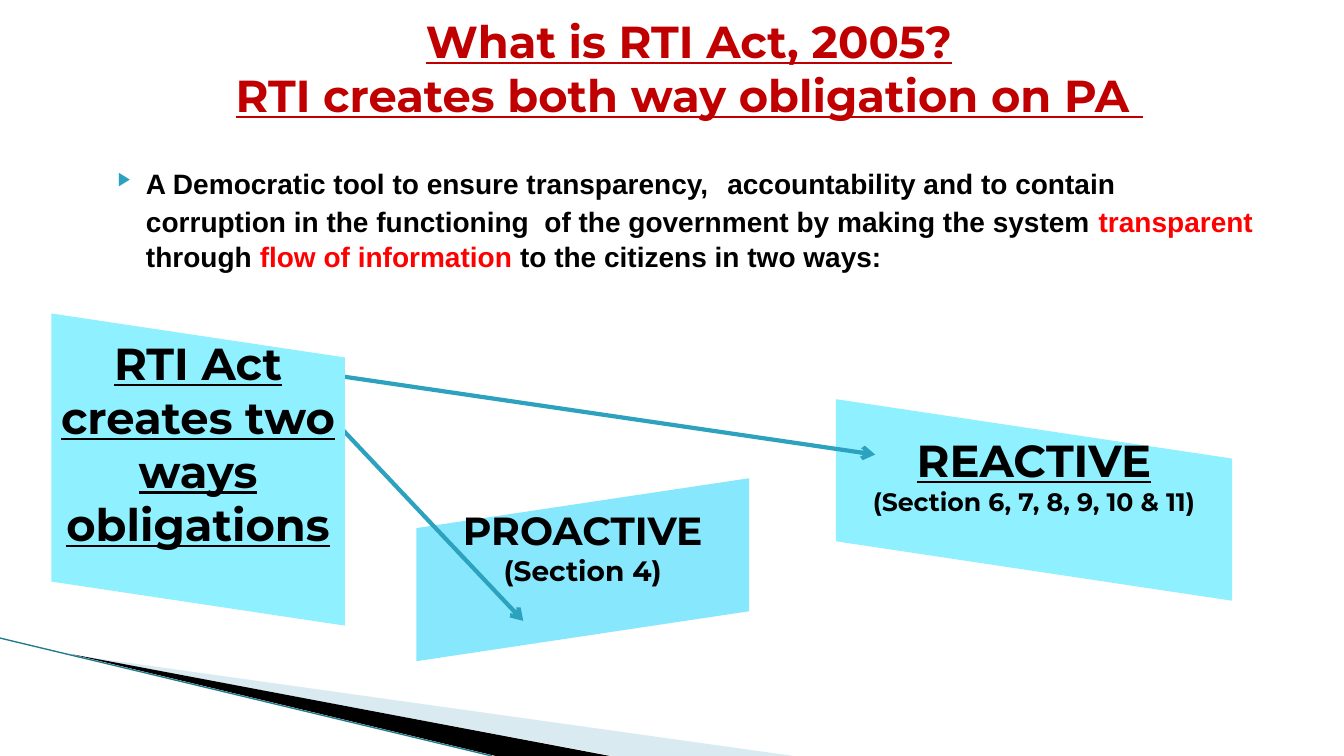
from dataclasses import dataclass

from lxml.etree import SubElement
from pptx import Presentation
from pptx.dml.color import RGBColor
from pptx.enum.shapes import MSO_CONNECTOR
from pptx.enum.text import MSO_ANCHOR, PP_ALIGN
from pptx.oxml.ns import qn
from pptx.util import Inches, Pt


@dataclass(frozen=True)
class Theme:
    head: str = "Montserrat"
    body: str = "Arial"
    black: str = "000000"
    title: str = "C00000"
    red: str = "FF0000"
    teal: str = "2DA2BF"
    cyan: str = "8FF0FF"
    sky: str = "87E7FD"
    mist: str = "A0CBDC"
    edge: str = "1F7A8C"
    big: int = 32
    mid: int = 28
    text: int = 20
    small: int = 18
    gap: int = 27


THEME = Theme()
SLOPE = 0.15


def rgb(code):
    return RGBColor.from_string(code)


def style(size, name=THEME.head, color=THEME.black, **extra):
    return {"size": Pt(size), "name": name, "color": color, "bold": True, **extra}


def write(para, runs):
    """Add (text, format) runs; a newline becomes a line break."""
    for text, form in runs:
        for count, line in enumerate(text.split("\n")):
            if count:
                para.add_line_break()
            run = para.add_run()
            run.text = line
            for key, value in form.items():
                if key == "color":
                    run.font.color.rgb = rgb(value)
                else:
                    setattr(run.font, key, value)


def label(slide, box, anchor):
    frame = slide.shapes.add_textbox(*map(Inches, box)).text_frame
    frame.word_wrap = True
    frame.vertical_anchor = anchor
    return frame.paragraphs[0]


def outline(slide, points, color, alpha=None):
    """Draw a closed, filled outline through points in inches."""
    first, *rest = [(Inches(x), Inches(y)) for x, y in points]
    pen = slide.shapes.build_freeform(*first)
    pen.add_line_segments(rest, close=True)
    shape = pen.convert_to_shape()
    shape.shadow.inherit = False
    shape.fill.solid()
    shape.fill.fore_color.rgb = rgb(color)
    shape.line.fill.background()
    if alpha:
        tint = shape.fill._xPr.find(".//" + qn("a:srgbClr"))
        SubElement(tint, qn("a:alpha"), val=str(alpha * 1000))
    return shape


def panel(slide, box, lean, inset, color, lines):
    """Draw a slanted panel; lean is 1 for falling and -1 for rising edges."""
    left, top, width, side = box
    right, drop = left + width, lean * SLOPE * width
    points = [(left, top), (right, top + drop),
              (right, top + drop + side), (left, top + side)]
    frame = outline(slide, points, color).text_frame
    form = {"word_wrap": True, "vertical_anchor": MSO_ANCHOR.TOP,
            "margin_top": Inches(inset), "margin_left": Inches(0.05),
            "margin_right": Inches(0.05)}
    for key, value in form.items():
        setattr(frame, key, value)
    for count, line in enumerate(lines):
        para = frame.add_paragraph() if count else frame.paragraphs[0]
        para.alignment = PP_ALIGN.CENTER
        write(para, [line])


def stroke(slide, start, end, color, width, arrow=False):
    line = slide.shapes.add_connector(
        MSO_CONNECTOR.STRAIGHT, *map(Inches, (*start, *end)))
    line.line.color.rgb = rgb(color)
    line.line.width = Pt(width)
    if arrow:
        SubElement(line.line._get_or_add_ln(), qn("a:tailEnd"), type="arrow")
    SubElement(line._element.spPr, qn("a:effectLst"))


def bullet(para):
    props = para._p.get_or_add_pPr()
    props.set("marL", str(Inches(0.4)))
    props.set("indent", str(Inches(-0.28)))
    tint = SubElement(props, qn("a:buClr"))
    SubElement(tint, qn("a:srgbClr"), val=THEME.teal)
    SubElement(props, qn("a:buSzPct"), val="68000")
    SubElement(props, qn("a:buFont"), typeface=THEME.body)
    SubElement(props, qn("a:buChar"), char="▶")


def swoosh(slide):
    outline(slide, [(0.73, 6.5), (7.87, 7.5), (6.08, 7.5)], THEME.mist, 40)
    outline(slide, [(0.71, 6.49), (6.05, 7.5), (4.92, 7.5)], THEME.black)
    stroke(slide, (0, 6.33), (4.88, 7.5), THEME.edge, 0.95)


def intro(slide):
    title = label(slide, (0.89, 0.13, 11.89, 1.08), MSO_ANCHOR.MIDDLE)
    title.alignment = PP_ALIGN.CENTER
    write(title, [("What is RTI Act, 2005?\nRTI creates both way obligation on PA ",
                   style(THEME.big, color=THEME.title, underline=True))])

    plain = style(THEME.text, THEME.body)
    red = style(THEME.text, THEME.body, THEME.red)
    para = label(slide, (0.95, 1.47, 11.6, 1.4), MSO_ANCHOR.TOP)
    para.line_spacing = 1.07
    para.space_before = Pt(4)
    bullet(para)
    write(para, [
        ("A Democratic tool to ensure transparency, ", plain),
        (" ", style(THEME.gap, THEME.body)),
        ("accountability and to contain corruption in the functioning  of the "
         "government by making the system ", plain),
        ("transparent", red),
        (" through ", plain),
        ("flow of information ", red),
        ("to the citizens in two ways:", plain),
    ])


def duties(slide):
    strong = style(THEME.big, underline=True)
    panel(slide, (4.13, 5.24, 3.3, 1.32), -1, 0.28, THEME.sky,
          [("PROACTIVE", style(THEME.mid)), ("(Section 4)", style(THEME.text))])
    panel(slide, (8.29, 3.96, 3.93, 1.41), 1, 0.33, THEME.cyan,
          [("REACTIVE", strong),
           ("(Section 6, 7, 8, 9, 10 & 11)", style(THEME.small))])
    for end in ((8.68, 4.51), (5.19, 6.16)):
        stroke(slide, (2.82, 3.65), end, THEME.teal, 3, arrow=True)
    panel(slide, (0.51, 3.11, 2.91, 2.66), 1, 0.22, THEME.cyan,
          [("RTI Act creates two ways obligations", strong)])


def main():
    deck = Presentation()
    deck.slide_width, deck.slide_height = Inches(13.33), Inches(7.5)
    slide = deck.slides.add_slide(deck.slide_layouts[6])
    swoosh(slide)
    intro(slide)
    duties(slide)
    deck.save("out.pptx")


if __name__ == "__main__":
    main()
